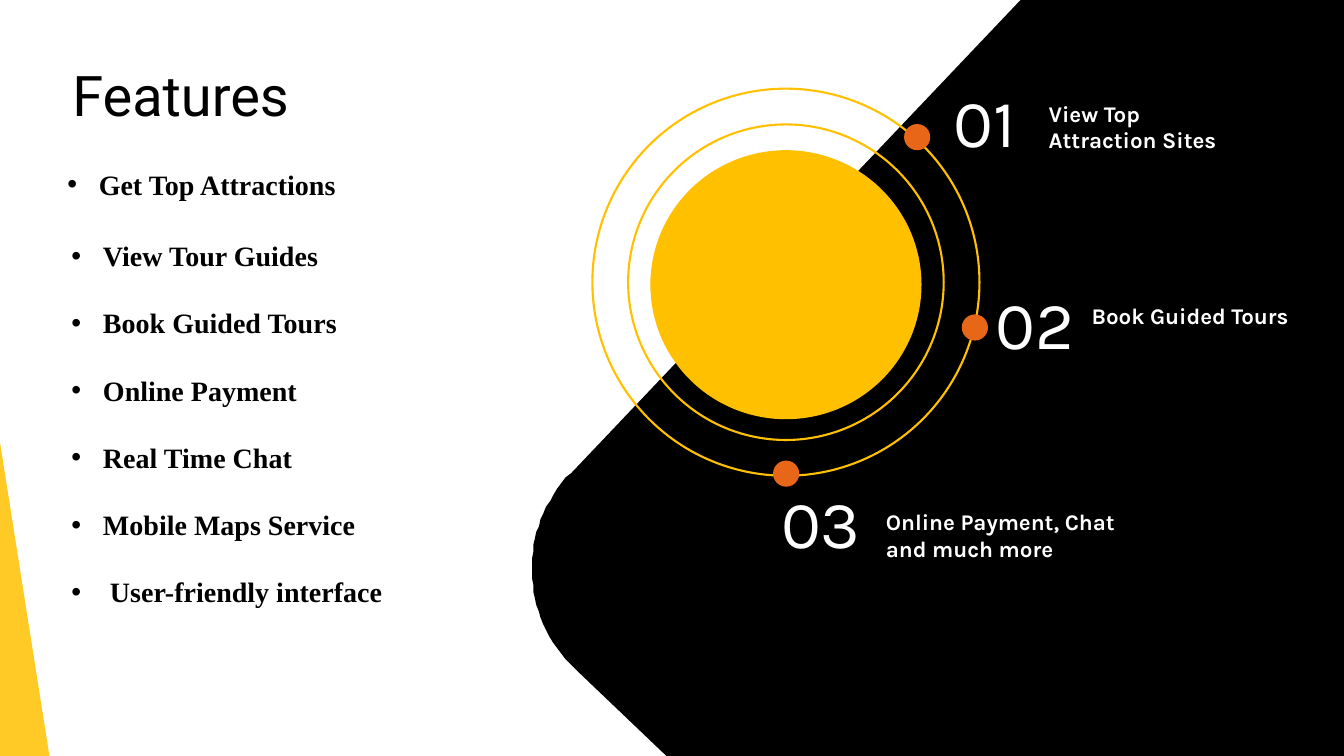
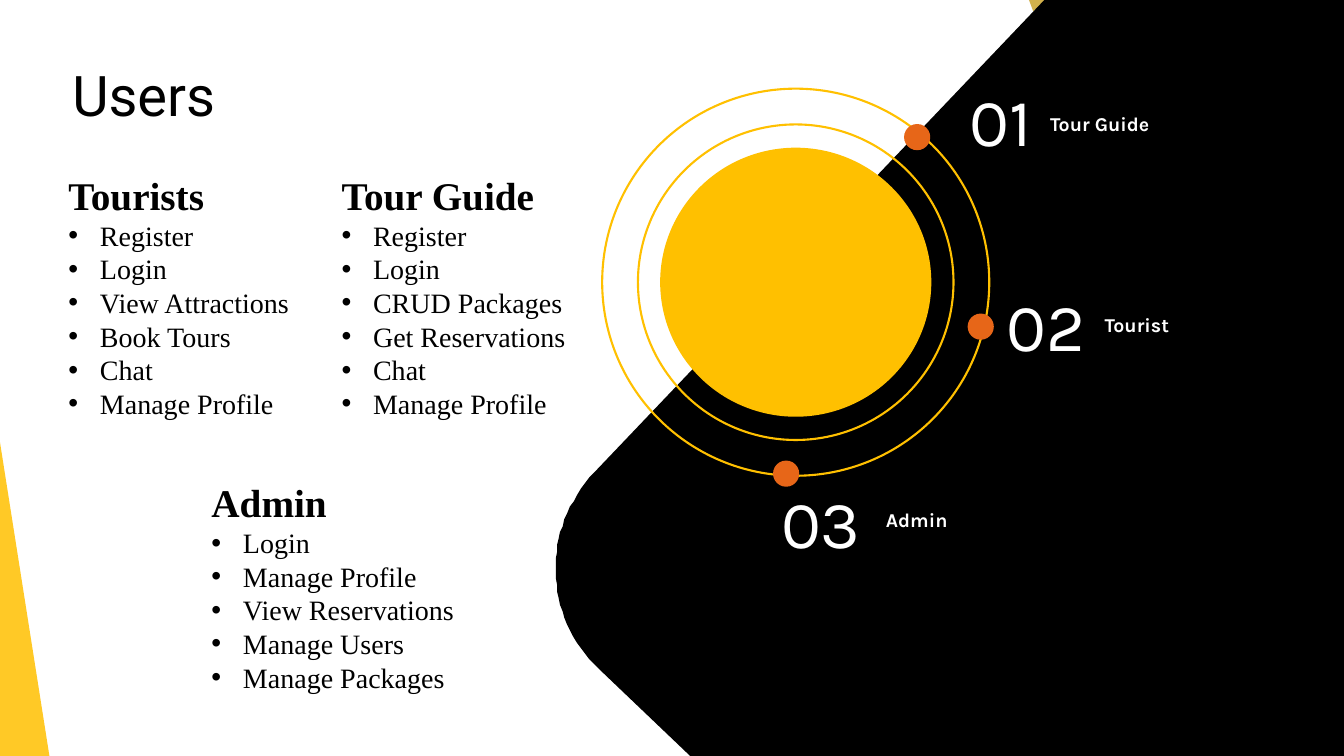
import pptx
import pptx.dml.color
import pptx.enum.shapes
import pptx.enum.text
import pptx.oxml
import pptx.oxml.ns
import pptx.util

Pt = pptx.util.Pt
SHAPE = pptx.enum.shapes.MSO_SHAPE
ANCHOR = pptx.enum.text.MSO_ANCHOR
WIDTH, HEIGHT = 960, 540
BLACK, WHITE, YELLOW, ORANGE, OCHRE = "000000", "FFFFFF", "FFC000", "E76618", "BF9000"
TITLE_FONT, LABEL_FONT, BODY_FONT = "Roboto", "Karla", "Times New Roman"
RING_Y, DOT, INDENT, LEADING = 201.6, 18.7, 22.5, 1.2


def color(value):
    return pptx.dml.color.RGBColor.from_string(value)


def bezier(p0, p1, p2, p3, steps=32):
    for i in range(1, steps + 1):
        t = i / steps
        weights = ((1 - t) ** 3, 3 * t * (1 - t) ** 2, 3 * t * t * (1 - t), t ** 3)
        yield tuple(sum(w * p[axis] for w, p in zip(weights, (p0, p1, p2, p3)))
                    for axis in (0, 1))


def add_text(tf, text, size=20, font=BODY_FONT, fill=BLACK, bold=False,
             bullet=False, before=0, first=False):
    p = tf.paragraphs[0] if first else tf.add_paragraph()
    p.line_spacing = Pt(size * LEADING)
    p.space_before = Pt(0 if first else before)
    if bullet:
        pPr = p._p.get_or_add_pPr()
        pPr.set("marL", str(Pt(INDENT)))
        pPr.set("indent", str(-Pt(INDENT)))
        for tag, name, value in (("a:buFont", "typeface", "Arial"), ("a:buChar", "char", "•")):
            bu = pptx.oxml.parse_xml(f"<{tag} {pptx.oxml.ns.nsdecls('a')}/>")
            bu.set(name, value)
            pPr.append(bu)
    r = p.add_run()
    r.text = text
    r.font.size, r.font.name, r.font.bold = Pt(size), font, bold
    r.font.color.rgb = color(fill)


class Deck:
    """Holds the presentation style and the slide being built."""

    def __init__(self):
        self.prs = pptx.Presentation()
        self.prs.slide_width, self.prs.slide_height = Pt(WIDTH), Pt(HEIGHT)

    def slide(self, title, shift=0, facet=False):
        self.s = self.prs.slides.add_slide(self.prs.slide_layouts[6])
        self.shape(SHAPE.RIGHT_TRIANGLE, 0, 316, 35.3, 224, fill=YELLOW, alpha=85)
        if facet:
            self.outline([(735, 0), (750, 0), (738, 8.3)], OCHRE, alpha=70)
        self.panel(shift)
        tf = self.box(44.6, 37.4, 345.6, 59, ANCHOR.MIDDLE)
        add_text(tf, title, size=40, font=TITLE_FONT, first=True)

    def paint(self, sp, fill=None, line=None, alpha=None):
        sp.shadow.inherit = False
        if fill:
            sp.fill.solid()
            sp.fill.fore_color.rgb = color(fill)
        else:
            sp.fill.background()
        if alpha:
            clr = sp._element.spPr.find(".//" + pptx.oxml.ns.qn("a:srgbClr"))
            clr.append(pptx.oxml.parse_xml(
                f'<a:alpha {pptx.oxml.ns.nsdecls("a")} val="{alpha * 1000}"/>'))
        if line:
            sp.line.color.rgb = color(line)
            sp.line.width = Pt(1.5)
        else:
            sp.line.fill.background()

    def shape(self, kind, x, y, w, h, **style):
        self.paint(self.s.shapes.add_shape(kind, Pt(x), Pt(y), Pt(w), Pt(h)), **style)

    def outline(self, points, fill, alpha=None):
        fb = self.s.shapes.build_freeform(*points[0], scale=Pt(1))
        fb.add_line_segments(points[1:], close=True)
        self.paint(fb.convert_to_shape(), fill, alpha=alpha)

    def panel(self, shift):
        bend = [(411, 478), (370.8, 440), (369.4, 377.3), (407.5, 337.7)]
        left = [(476, HEIGHT), bend[0], *bezier(*bend), (729, 0)]
        self.outline([(WIDTH, 0), (WIDTH, HEIGHT)] + [(x + shift, y) for x, y in left], BLACK)

    def ellipse(self, cx, cy, w, h, **style):
        self.shape(SHAPE.OVAL, cx - w / 2, cy - h / 2, w, h, **style)

    def rings(self, cx, disc_y):
        self.ellipse(cx, disc_y, 193.7, 192.2, fill=YELLOW)
        for size in (225.4, 276.5):
            self.ellipse(cx, RING_Y, size, size, line=YELLOW)

    def box(self, x, y, w, h, anchor=ANCHOR.TOP):
        tf = self.s.shapes.add_textbox(Pt(x), Pt(y), Pt(w), Pt(h)).text_frame
        tf.word_wrap = True
        tf.vertical_anchor = anchor
        return tf

    def callouts(self, items, size):
        for i, (label, dot, number, place, width) in enumerate(items, 1):
            add_text(self.box(*number, 74, 65.5), f"{i:02}", size=48,
                     font=LABEL_FONT, fill=WHITE, first=True)
            add_text(self.box(*place, width, 46), label, size=size,
                     font=LABEL_FONT, fill=WHITE, bold=True, first=True)
            self.shape(SHAPE.OVAL, *dot, DOT, DOT, fill=ORANGE)

    def bullets(self, x, y, w, h, items, heading=None, bold=False, before=0):
        tf = self.box(x, y, w, h)
        if heading:
            add_text(tf, heading, size=28, bold=True, first=True)
        for i, item in enumerate(items):
            add_text(tf, item, bold=bold, bullet=True, before=before,
                     first=i == 0 and not heading)


def main():
    deck = Deck()
    deck.slide("Features")
    deck.rings(561.4, 203.4)
    deck.callouts([
        ("View Top Attraction Sites", (645.8, 88.6), (674, 54), (742, 67.7), 159),
        ("Book Guided Tours", (687, 224.6), (704.2, 198), (772.6, 212.4), 171),
        ("Online Payment, Chat and much more", (552.2, 329), (550.8, 340), (625.7, 359.3), 198),
    ], size=16)
    deck.bullets(41, 116, 345.6, 31, ["Get Top Attractions"], bold=True)
    deck.bullets(44, 167, 345.6, 274, [
        "View Tour Guides", "Book Guided Tours", "Online Payment", "Real Time Chat",
        "Mobile Maps Service", " User-friendly interface"], bold=True, before=24)

    deck.slide("Users", shift=17, facet=True)
    deck.rings(568.4, RING_Y)
    deck.callouts([
        ("Tour Guide", (645.8, 88.6), (685.4, 53.3), (743, 76.3), 159),
        ("Tourist", (691.2, 224), (712, 199.4), (782, 220.3), 171),
        ("Admin", (552.2, 329), (550.8, 340), (625.7, 359.3), 198),
    ], size=14)
    for heading, x, y, items in (
        ("Tourists", 41.8, 118.8, ["Register", "Login", "View Attractions", "Book Tours",
                                   "Chat", "Manage Profile"]),
        ("Tour Guide", 236.9, 118.8, ["Register", "Login", "CRUD Packages",
                                      "Get Reservations", "Chat", "Manage Profile"]),
        ("Admin", 144, 338.4, ["Login", "Manage Profile", "View Reservations",
                               "Manage Users", "Manage Packages"]),
    ):
        deck.bullets(x, y, 188, 41 + 24 * len(items), items, heading)
    deck.prs.save("out.pptx")


if __name__ == "__main__":
    main()
